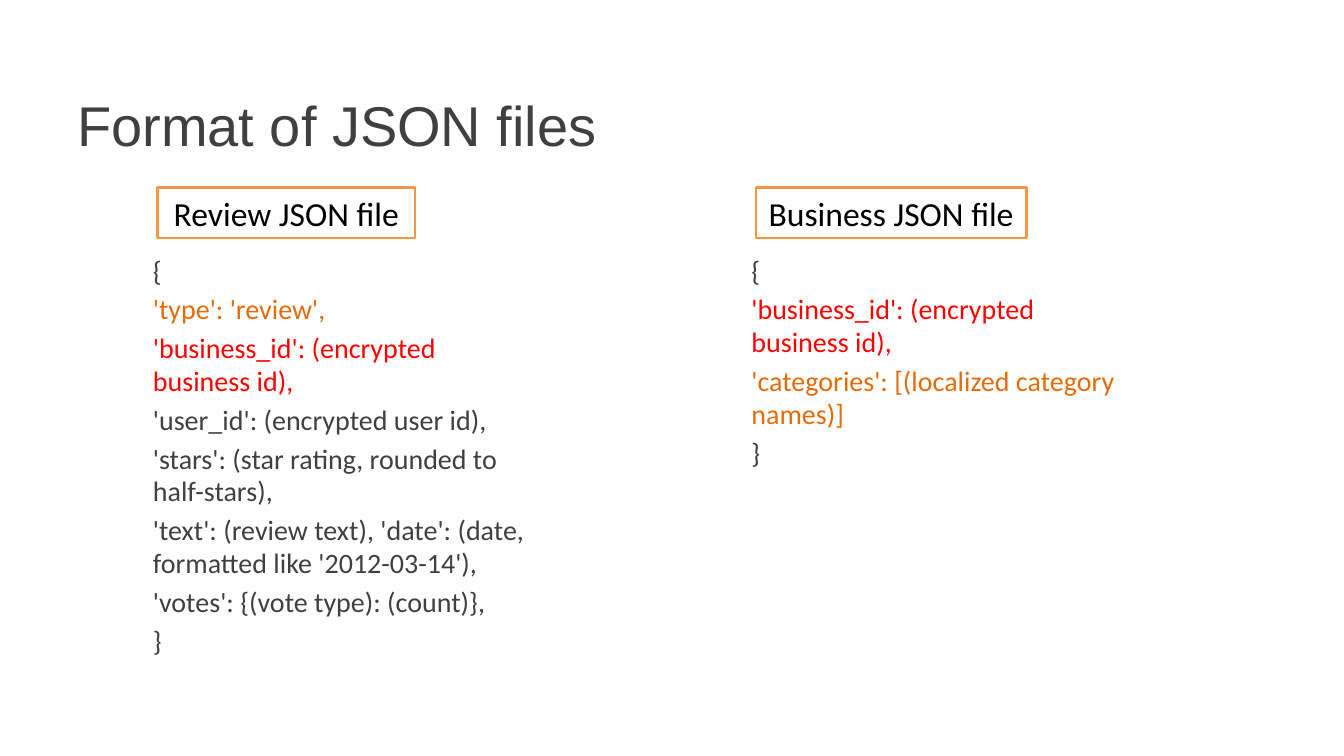
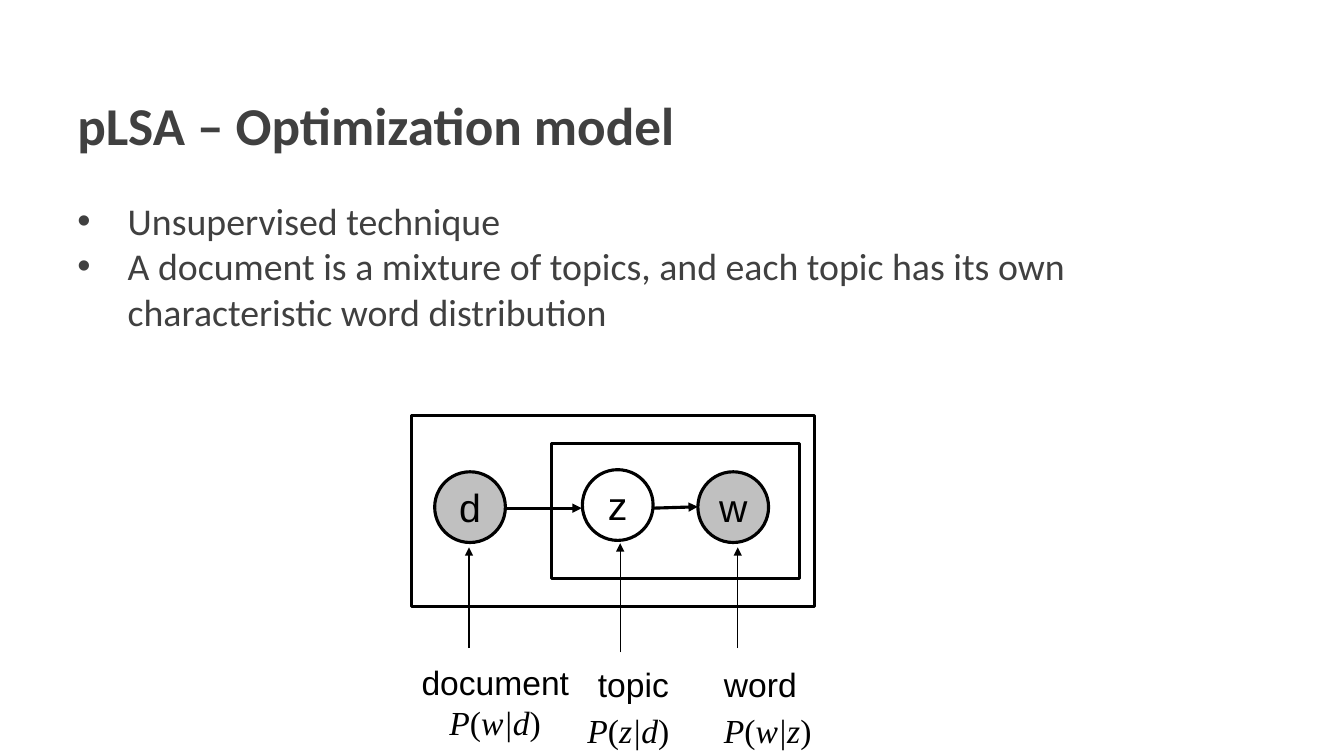
from dataclasses import dataclass

from lxml import etree
from pptx import Presentation
from pptx.dml.color import RGBColor
from pptx.enum import shapes as kinds, text as opts
from pptx.oxml import ns
from pptx.util import Pt


@dataclass(frozen=True)
class Theme:
    # Colours
    ink: str = "404040"
    black: str = "000000"
    white: str = "FFFFFF"
    gray: str = "C0C0C0"
    red: str = "FF0000"
    rust: str = "E46C0A"
    frame: str = "F79646"
    # Fonts
    sans: str = "Calibri"
    plain: str = "Arial"
    serif: str = "Times New Roman"
    # Type sizes
    head: float = 40
    strong: float = 38
    node: float = 28
    list: float = 27
    label: float = 24
    code: float = 20
    # Line widths
    thick: float = 2.25
    mid: float = 2
    thin: float = 0.75


T = Theme()
ALIGN = opts.PP_ALIGN
ANCHOR = opts.MSO_ANCHOR
FIT = opts.MSO_AUTO_SIZE


def rgb(code):
    return RGBColor.from_string(code)


# Text: each line is a string or a list of (string, format changes)
def write(frame, lines, align=ALIGN.LEFT, anchor=ANCHOR.TOP, before=0,
          space=1.0, left=0, hang=0, bullet=True, **style):
    frame.vertical_anchor = anchor
    for i, line in enumerate(lines):
        para = frame.paragraphs[0] if i == 0 else frame.add_paragraph()
        para.alignment = align
        para.space_before = Pt(before)
        para.line_spacing = space
        props = para._p.get_or_add_pPr()
        props.set("marL", str(Pt(left)))
        props.set("indent", str(Pt(hang)))
        if not bullet:
            etree.SubElement(props, ns.qn("a:buNone"))
        for words, change in [(line, {})] if isinstance(line, str) else line:
            run = para.add_run()
            run.text = words
            paint(run.font, **{**style, **change})


def paint(font, face=T.sans, size=T.label, color=T.black, bold=False,
          italic=False):
    font.name, font.size = face, Pt(size)
    font.bold, font.italic = bold, italic
    font.color.rgb = rgb(color)


# Placeholders
def place(shape, x, y, w, h):
    shape.left, shape.top, shape.width, shape.height = map(Pt, (x, y, w, h))
    shape.text_frame.word_wrap = True
    shape.text_frame.auto_size = FIT.NONE
    return shape.text_frame


def start(deck, layout, title, **style):
    slide = deck.slides.add_slide(deck.slide_layouts[layout])
    frame = place(slide.shapes.title, 48, 44, 858, 90)
    write(frame, [title], anchor=ANCHOR.MIDDLE, color=T.ink, **style)
    return slide


# Shapes and lines
def shape(slide, kind, x, y, w, h, fill=T.white, line=T.black, width=T.thick):
    item = slide.shapes.add_shape(kind, Pt(x), Pt(y), Pt(w), Pt(h))
    item.shadow.inherit = False
    item.fill.solid()
    item.fill.fore_color.rgb = rgb(fill)
    item.line.color.rgb = rgb(line)
    item.line.width = Pt(width)
    return item


def rect(slide, *box, **look):
    return shape(slide, kinds.MSO_SHAPE.RECTANGLE, *box, **look)


def node(slide, name, x, y, fill):
    item = shape(slide, kinds.MSO_SHAPE.OVAL, x, y, 50.5, 50.5, fill=fill)
    frame = item.text_frame
    frame.margin_left = frame.margin_right = 0
    frame.margin_top = frame.margin_bottom = 0
    frame.word_wrap = False
    write(frame, [name], align=ALIGN.CENTER, anchor=ANCHOR.MIDDLE,
          face=T.plain, size=T.node)


def arrow(slide, x1, y1, x2, y2, width):
    item = slide.shapes.add_connector(
        kinds.MSO_CONNECTOR.STRAIGHT, Pt(x1), Pt(y1), Pt(x2), Pt(y2))
    item.line.color.rgb = rgb(T.black)
    item.line.width = Pt(width)
    etree.SubElement(item.line._get_or_add_ln(), ns.qn("a:tailEnd"),
                     type="triangle")
    etree.SubElement(item._element.spPr, ns.qn("a:effectLst"))


def label(slide, line, x, y, w, face):
    box = slide.shapes.add_textbox(Pt(x), Pt(y), Pt(w), Pt(36))
    box.text_frame.word_wrap = False
    box.text_frame.auto_size = FIT.SHAPE_TO_FIT_TEXT
    write(box.text_frame, [line], face=face)


# Slide 1: two record formats side by side
def formats(deck):
    slide = start(deck, 3, "Format of JSON files", face=T.plain, size=T.head)
    key = [("'business_id': (encrypted business id),", {"color": T.red})]
    review = [
        "{",
        [("'type': 'review',", {"color": T.rust})],
        key,
        "'user_id': (encrypted user id),",
        "'stars': (star rating, rounded to half-stars),",
        "'text': (review text), 'date': (date, formatted like '2012-03-14'),",
        "'votes': {(vote type): (count)},",
        "}",
    ]
    business = [
        "{",
        key,
        [("'categories': [(localized category names)]", {"color": T.rust})],
        "}",
    ]
    columns = [
        (1, 60, review, "Review JSON file", 112.5, 184),
        (2, 487.5, business, "Business JSON file", 540, 193),
    ]
    for index, x, lines, name, left, wide in columns:
        body = place(slide.placeholders[index], x, 178.5, 330, 325.5)
        write(body, lines, before=4.5, space=0.97, left=42, bullet=False,
              size=T.code, color=T.ink)
        tag = rect(slide, left, 134, wide, 36, line=T.frame, width=T.mid)
        tag.text_frame.word_wrap = False
        write(tag.text_frame, [name], align=ALIGN.CENTER,
              anchor=ANCHOR.MIDDLE)


# Slide 2: topic model with its plate diagram
def model(deck):
    slide = start(deck, 1, "pLSA – Optimization model", size=T.strong,
                  bold=True)
    body = place(slide.placeholders[1], 48, 137.5, 864, 354)
    write(body, [
        "Unsupervised technique",
        "A document is a mixture of topics, and each topic has its own "
        "characteristic word distribution",
    ], left=36, hang=-36, size=T.list, color=T.ink)

    # Plates, nodes and links
    rect(slide, 294, 296.5, 288, 137)
    rect(slide, 394, 317, 177, 96.5)
    node(slide, "d", 310.5, 337, T.gray)
    node(slide, "z", 416, 335.5, T.white)
    node(slide, "w", 498.5, 337, T.gray)
    arrow(slide, 360, 363, 415.5, 363, T.thick)
    arrow(slide, 466, 363, 498.5, 362, T.thick)

    # Callouts: arrow, name and probability
    calls = [
        (335, 463, 391, ("document", 294, 469.5, 120),
         ("w|d", 314, 498, 80.5)),
        (443, 466, 388, ("topic", 420, 471, 65.5),
         ("z|d", 412.5, 503.5, 73.5)),
        (527, 463, 391, ("word", 510, 471, 67),
         ("w|z", 510, 503.5, 77)),
    ]
    slant = {"italic": True}
    for x, low, high, name, (terms, *spot) in calls:
        arrow(slide, x, low, x, high, T.thin)
        label(slide, *name, face=T.plain)
        odds = [("P", slant), ("(", {}), (terms, slant), (")", {})]
        label(slide, odds, *spot, face=T.serif)


def main():
    deck = Presentation()
    deck.slide_width, deck.slide_height = Pt(960), Pt(540)
    formats(deck)
    model(deck)
    deck.save("out.pptx")


if __name__ == "__main__":
    main()
